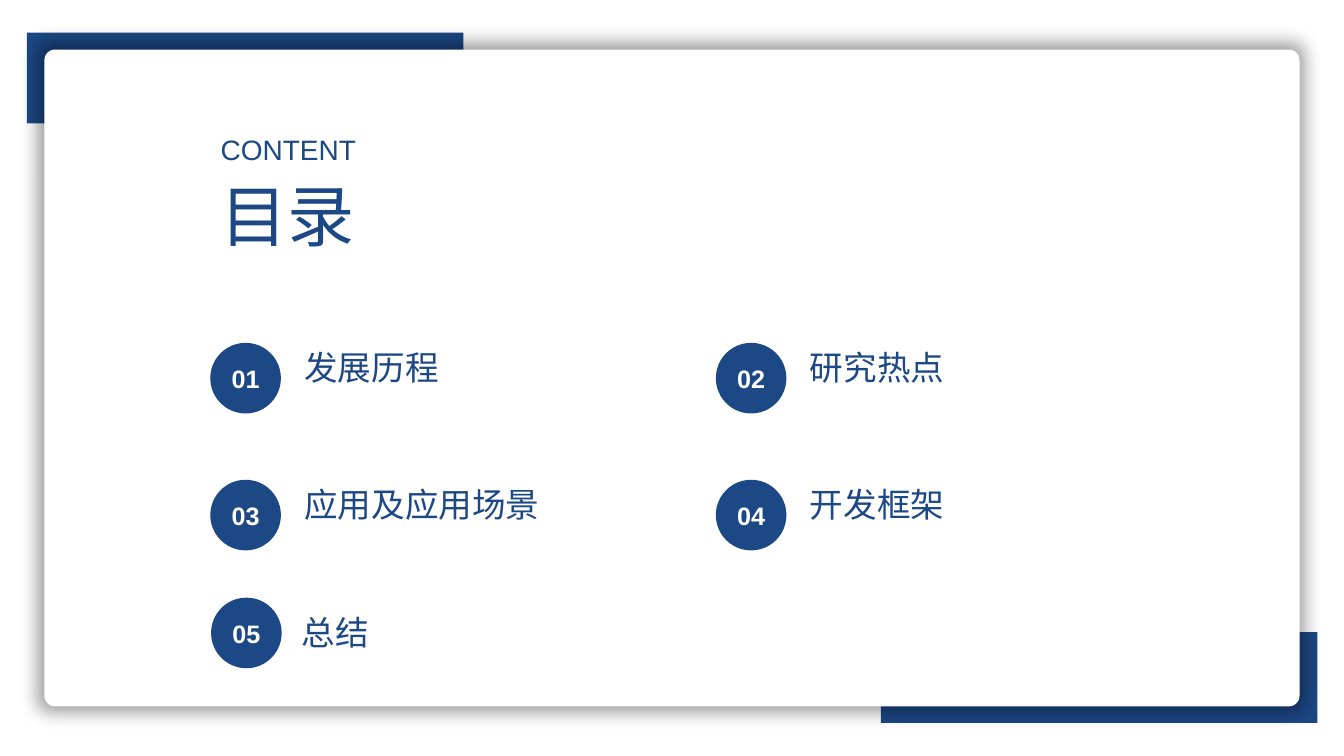
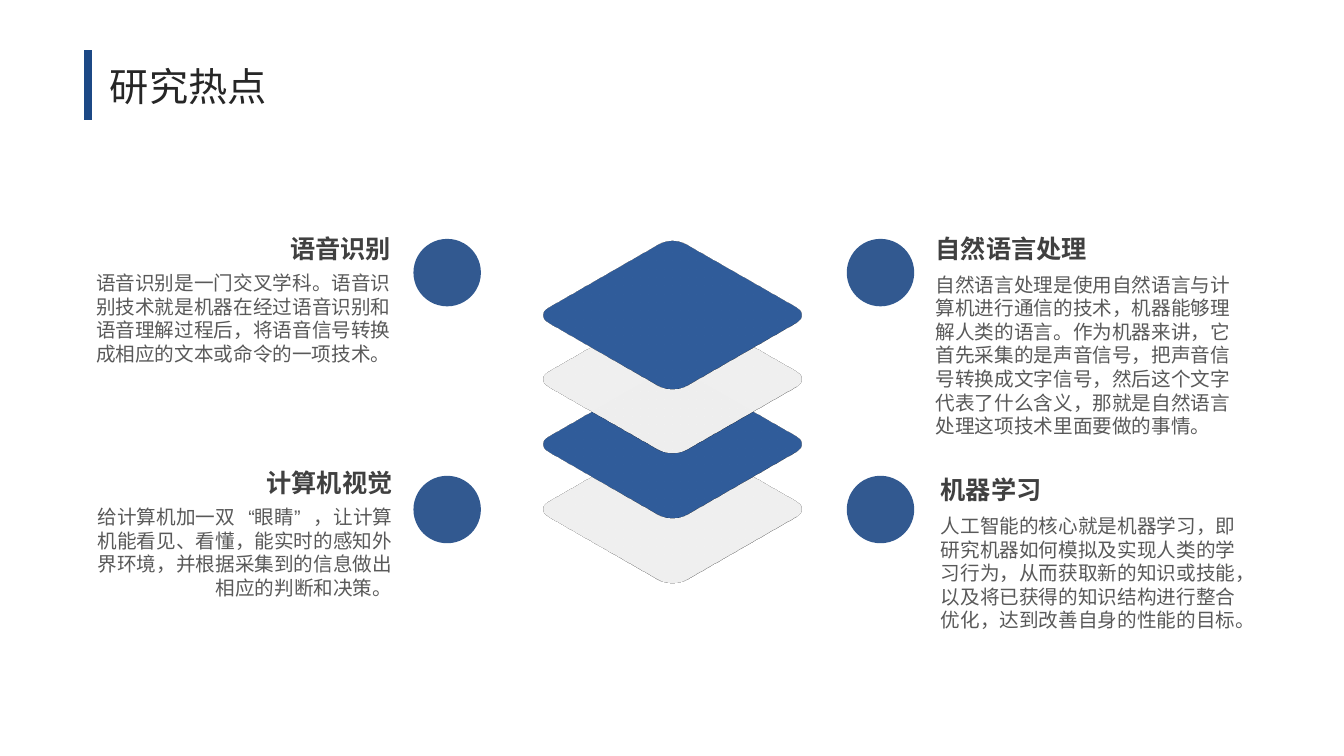
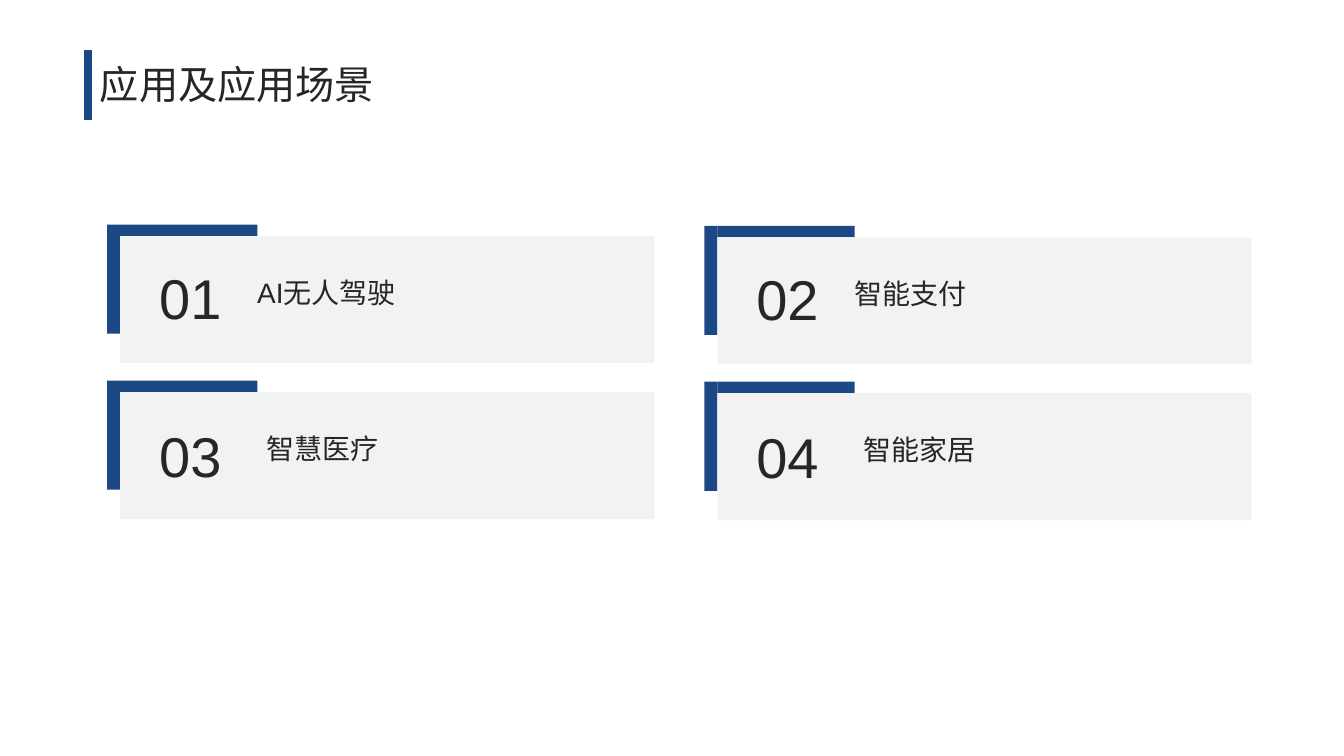
"""Three slides on artificial intelligence: contents, research topics, applications."""
import itertools
from dataclasses import dataclass

import pptx
import pptx.dml.color
import pptx.enum.shapes
import pptx.enum.text
import pptx.oxml.ns
import pptx.shapes.base
import pptx.slide
import pptx.util
from lxml import etree

Cm = pptx.util.Cm
SHAPE = pptx.enum.shapes.MSO_SHAPE
ALIGN = pptx.enum.text.PP_ALIGN
qn = pptx.oxml.ns.qn


@dataclass(frozen=True)
class Theme:
    """Colours, font and type sizes (points) of the deck."""
    blue: str = "1C4885"
    grey: str = "D9D9D9"
    panel: str = "F2F2F2"
    white: str = "FFFFFF"
    dark: str = "262626"
    heading: str = "404040"
    body: str = "595959"
    font: str = "Arial"
    display_pt: int = 48
    number_pt: int = 40
    title_pt: int = 28
    entry_pt: int = 24
    label_pt: int = 20
    heading_pt: int = 18
    body_pt: int = 14


THEME = Theme()


@dataclass(frozen=True)
class Box:
    """A rectangle in centimetres."""
    x: float
    y: float
    w: float
    h: float

    def emu(self) -> tuple[int, int, int, int]:
        """Return left, top, width and height as lengths."""
        return Cm(self.x), Cm(self.y), Cm(self.w), Cm(self.h)


@dataclass(frozen=True)
class Entry:
    """A numbered line of the contents, with its label offset from the dot."""
    number: str
    text: str
    x: float
    y: float
    dx: float = 2.12
    dy: float = -0.02
    width: float = 10.29


@dataclass(frozen=True)
class Topic:
    """A heading and paragraph set against one edge, next to a dot."""
    heading: str
    body: str
    edge: float
    top: float
    gap: float
    height: float
    dot_x: float
    dot_y: float
    align: ALIGN


@dataclass(frozen=True)
class Scenario:
    """A numbered panel of the applications grid, with its text offsets."""
    number: str
    label: str
    number_dy: float
    label_dx: float


ENTRIES = [
    Entry("01", "发展历程", 5.3, 8.64),
    Entry("02", "研究热点", 18.04, 8.64),
    Entry("03", "应用及应用场景", 5.3, 12.09),
    Entry("04", "开发框架", 18.04, 12.09),
    Entry("05", "总结", 5.32, 15.06, 2.03, 0.23, 4.34),
]

TOPICS = [
    Topic("语音识别",
          "语音识别是一门交叉学科。语音识别技术就是机器在经过语音识别和"
          "语音理解过程后，将语音信号转换成相应的文本或命令的一项技术。",
          10.1, 5.75, 0.96, 2.64, 10.42, 6.02, ALIGN.RIGHT),
    Topic("计算机视觉",
          "给计算机加一双“眼睛”，让计算机能看见、看懂，能实时的感知外"
          "界环境，并根据采集到的信息做出相应的判断和决策。",
          10.14, 11.66, 0.94, 2.64, 10.42, 11.99, ALIGN.RIGHT),
    Topic("自然语言处理",
          "自然语言处理是使用自然语言与计算机进行通信的技术，机器能够理"
          "解人类的语言。作为机器来讲，它首先采集的是声音信号，把声音信"
          "号转换成文字信号，然后这个文字代表了什么含义，那就是自然语言"
          "处理这项技术里面要做的事情。",
          23.33, 5.75, 1, 4.45, 21.34, 6.02, ALIGN.LEFT),
    Topic("机器学习",
          "人工智能的核心就是机器学习，即研究机器如何模拟及实现人类的学"
          "习行为，从而获取新的知识或技能，以及将已获得的知识结构进行整合"
          "优化，达到改善自身的性能的目标。",
          23.46, 11.84, 0.99, 3.25, 21.34, 11.99, ALIGN.LEFT),
]

SCENARIOS = [
    Scenario("01", "AI无人驾驶", 0.56, 3.2),
    Scenario("02", "智能支付", 0.56, 3.2),
    Scenario("03", "智慧医疗", 0.61, 3.44),
    Scenario("04", "智能家居", 0.61, 3.44),
]


def rgb(value: str) -> pptx.dml.color.RGBColor:
    """Turn a hex string into a colour."""
    return pptx.dml.color.RGBColor.from_string(value)


def split_at_quotes(text: str) -> list[tuple[bool, str]]:
    """Split text into pieces, marking those that need full-width quote space."""
    pairs = zip(text, text[1:] + " ")
    marked = [(char == "”" or following == "“", char) for char, following in pairs]
    return [(wide, "".join(char for _, char in group))
            for wide, group in itertools.groupby(marked, lambda pair: pair[0])]


def write(sp: pptx.shapes.base.BaseShape, text: str, size: int, color: str,
          align: ALIGN, bold: bool = False) -> None:
    """Put formatted text into a shape, with quotes as wide as a character."""
    p = sp.text_frame.paragraphs[0]
    p.alignment = align
    formats = {"name": THEME.font, "size": pptx.util.Pt(size), "bold": bold}
    for wide, piece in split_at_quotes(text):
        r = p.add_run()
        r.text = piece
        for name, value in formats.items():
            setattr(r.font, name, value)
        r.font.color.rgb = rgb(color)
        props = r._r.get_or_add_rPr()
        props.set("lang", "zh-CN")
        if wide:
            props.set("spc", str(round(size * 100 * 2 / 3)))
        etree.SubElement(props, qn("a:ea"), typeface=THEME.font)


def add_text(s: pptx.slide.Slide, box: Box, text: str, size: int, color: str,
             align: ALIGN = ALIGN.JUSTIFY, bold: bool = False) -> None:
    """Add a wrapping text box that grows with its text."""
    sp = s.shapes.add_textbox(*box.emu())
    formats = {"word_wrap": True,
               "auto_size": pptx.enum.text.MSO_AUTO_SIZE.SHAPE_TO_FIT_TEXT}
    for name, value in formats.items():
        setattr(sp.text_frame, name, value)
    write(sp, text, size, color, align, bold)


def add_block(s: pptx.slide.Slide, kind: SHAPE, box: Box,
              color: str) -> pptx.shapes.base.BaseShape:
    """Add a preset shape with a plain fill, no outline and no shadow."""
    sp = s.shapes.add_shape(kind, *box.emu())
    sp.fill.solid()
    sp.fill.fore_color.rgb = rgb(color)
    sp.line.fill.background()
    sp.shadow.inherit = False
    return sp


def set_alpha(sp: pptx.shapes.base.BaseShape, percent: int) -> None:
    """Set the opacity of a shape's fill."""
    clr = sp.element.spPr.find(qn("a:solidFill")).find(qn("a:srgbClr"))
    etree.SubElement(clr, qn("a:alpha"), val=str(percent * 1000))


def add_glow_shadow(sp: pptx.shapes.base.BaseShape) -> None:
    """Spread a soft black shadow evenly around a shape."""
    effects = sp.element.spPr.find(qn("a:effectLst"))
    shadow = etree.SubElement(effects, qn("a:outerShdw"), {
        "blurRad": str(Cm(0.45)), "sx": "101000", "sy": "102000",
        "algn": "ctr", "rotWithShape": "0"})
    clr = etree.SubElement(shadow, qn("a:srgbClr"), val="000000")
    etree.SubElement(clr, qn("a:alpha"), val="38000")


def add_title(s: pptx.slide.Slide, text: str, box: Box, align: ALIGN) -> None:
    """Add a slide title and the blue marker to its left."""
    add_text(s, box, text, THEME.title_pt, THEME.dark, align)
    line = s.shapes.add_connector(pptx.enum.shapes.MSO_CONNECTOR.STRAIGHT,
                                  Cm(2.22), Cm(1.27), Cm(2.22), Cm(3.02))
    line.line.color.rgb = rgb(THEME.blue)
    line.line.width = pptx.util.Pt(6)
    etree.SubElement(line.element.spPr, qn("a:effectLst"))


def add_tile(s: pptx.slide.Slide, y: float, color: str) -> None:
    """Add a rounded square turned into isometric view."""
    sp = add_block(s, SHAPE.ROUNDED_RECTANGLE, Box(14.5, y, 4.88, 4.88), color)
    sp.adjustments[0] = 0.1
    scene = etree.SubElement(sp.element.spPr, qn("a:scene3d"))
    etree.SubElement(scene, qn("a:camera"), prst="isometricTopUp")
    etree.SubElement(scene, qn("a:lightRig"), rig="threePt", dir="t")


def add_entry(s: pptx.slide.Slide, entry: Entry) -> None:
    """Add a numbered dot and its label."""
    sp = add_block(s, SHAPE.OVAL, Box(entry.x, entry.y, 1.78, 1.78), THEME.blue)
    sp.text_frame.vertical_anchor = pptx.enum.text.MSO_ANCHOR.MIDDLE
    write(sp, entry.number, THEME.heading_pt, THEME.white, ALIGN.CENTER, True)
    add_text(s, Box(entry.x + entry.dx, entry.y + entry.dy, entry.width, 1.27),
             entry.text, THEME.entry_pt, THEME.blue)


def add_topic(s: pptx.slide.Slide, topic: Topic) -> None:
    """Add a dot with a heading and a paragraph beside it."""
    dot = add_block(s, SHAPE.OVAL, Box(topic.dot_x, topic.dot_y, 1.7, 1.7),
                    THEME.blue)
    set_alpha(dot, 90)
    rows = [
        (topic.heading, topic.top, 6.17, 1.02, THEME.heading_pt,
         THEME.heading, True),
        (topic.body, topic.top + topic.gap, 7.95, topic.height, THEME.body_pt,
         THEME.body, False),
    ]
    for text, top, width, height, size, color, bold in rows:
        left = topic.edge - (width if topic.align == ALIGN.RIGHT else 0)
        add_text(s, Box(left, top, width, height), text, size, color,
                 topic.align, bold)


def add_scenario(s: pptx.slide.Slide, scenario: Scenario, x: float,
                 y: float) -> None:
    """Add a grey panel with a blue corner, a number and a label."""
    add_block(s, SHAPE.RECTANGLE, Box(x - 0.33, y - 0.29, 0.33, 2.75), THEME.blue)
    add_block(s, SHAPE.RECTANGLE, Box(x, y - 0.29, 3.46, 0.29), THEME.blue)
    add_block(s, SHAPE.RECTANGLE, Box(x, y, 13.46, 3.2), THEME.panel)
    add_text(s, Box(x + 0.33, y + scenario.number_dy, 2.87, 1.96),
             scenario.number, THEME.number_pt, THEME.dark, ALIGN.CENTER)
    add_text(s, Box(x + scenario.label_dx, y + 0.87, 9.04, 1.12),
             scenario.label, THEME.label_pt, THEME.dark)


def build_contents(s: pptx.slide.Slide) -> None:
    """Draw the contents slide."""
    for x, y in [(22.2, 15.93), (0.68, 0.82)]:
        add_block(s, SHAPE.RECTANGLE, Box(x, y, 11, 2.29), THEME.blue)
    card = add_block(s, SHAPE.ROUNDED_RECTANGLE, Box(1.12, 1.25, 31.63, 16.55),
                     THEME.white)
    card.adjustments[0] = 0.016
    add_glow_shadow(card)
    add_text(s, Box(5.31, 4.27, 6.45, 2.31), "目录", THEME.display_pt, THEME.blue)
    add_text(s, Box(5.31, 3.21, 6.45, 1.12), "CONTENT", THEME.label_pt, THEME.blue)
    for entry in ENTRIES:
        add_entry(s, entry)


def build_topics(s: pptx.slide.Slide) -> None:
    """Draw the research topics around a stack of tiles."""
    add_title(s, "研究热点", Box(2.52, 1.45, 7.06, 1.45), ALIGN.LEFT)
    for level in reversed(range(4)):
        add_tile(s, 5.49 + 1.63 * level, THEME.grey if level % 2 else THEME.blue)
    for topic in TOPICS:
        add_topic(s, topic)


def build_scenarios(s: pptx.slide.Slide) -> None:
    """Draw the applications as a grid of two columns."""
    add_title(s, "应用及应用场景", Box(2.02, 1.4, 7.9, 1.45), ALIGN.CENTER)
    for i, scenario in enumerate(SCENARIOS):
        row, column = divmod(i, 2)
        add_scenario(s, scenario, 3.03 + 15.05 * column,
                     5.95 + 3.93 * row + 0.03 * column)


def main() -> None:
    """Build and save the deck."""
    prs = pptx.Presentation()
    prs.slide_width, prs.slide_height = Cm(33.87), Cm(19.05)
    for build in (build_contents, build_topics, build_scenarios):
        build(prs.slides.add_slide(prs.slide_layouts[6]))
    prs.save("out.pptx")


main()
